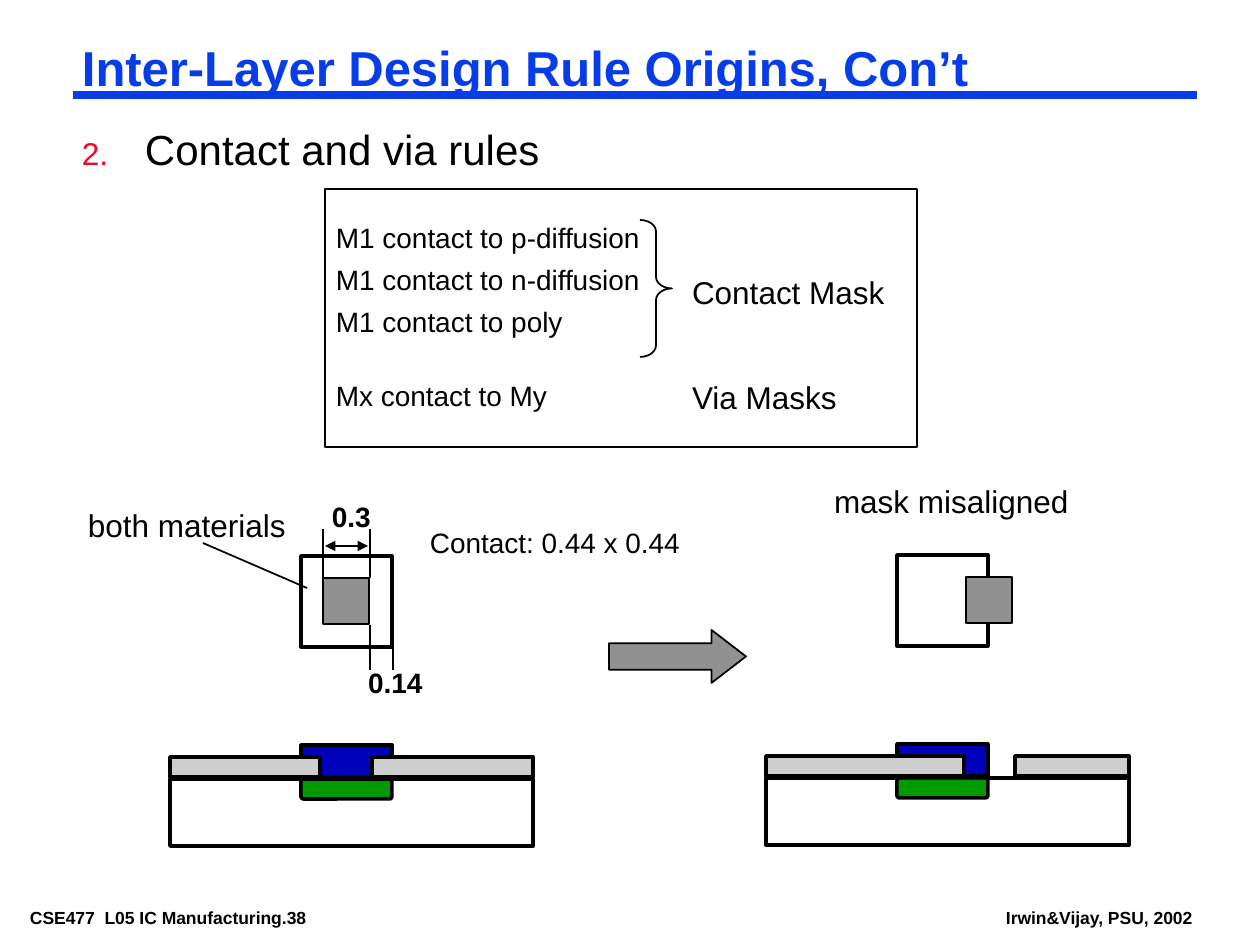
"""Build the slide on contact and via design rules."""
from dataclasses import dataclass

from lxml import etree
from pptx import Presentation, util as u
from pptx.dml.color import RGBColor
from pptx.enum import shapes, text
from pptx.oxml import ns

PX = 914400 / 126
FONT = "Arial"
COLORS = {
    "black": "000000", "title": "063DE8", "number": "FC0128", "metal": "0000BA",
    "cut": "919191", "oxide": "CECECE", "diffusion": "009900",
}
KIND = shapes.MSO_SHAPE


@dataclass(frozen=True)
class Label:
    words: str
    left: int
    top: int
    width: int
    height: int
    size: int = 16
    bold: bool = False
    spacing: float = 0.9


@dataclass(frozen=True)
class Line:
    x1: int
    y1: int
    x2: int
    y2: int


@dataclass(frozen=True)
class ContactView:
    left: int
    surface: int
    cut: int
    gap_start: int
    gap_end: int


LABELS = [
    Label("M1 contact to p-diffusion", 326, 220, 330, 38),
    Label("M1 contact to n-diffusion", 326, 262, 330, 38),
    Label("M1 contact to poly", 326, 304, 253, 38),
    Label("Mx contact to My", 326, 378, 238, 38),
    Label("Contact Mask", 682, 273, 219, 42, 18),
    Label("Via Masks", 682, 378, 171, 42, 18),
    Label("0.3", 322, 498, 66, 40, bold=True, spacing=0.96),
    Label("0.14", 358, 664, 82, 40, bold=True, spacing=0.96),
    Label("both materials", 78, 506, 224, 42, 18),
    Label("mask misaligned", 824, 480, 261, 44, 18, spacing=0.96),
    Label("Contact: 0.44 x 0.44", 420, 525, 276, 38),
]
FOOTERS = [
    Label("CSE477  L05 IC Manufacturing.38", 21, 903, 359, 28, 10, True, 1.0),
    Label("Irwin&Vijay, PSU, 2002", 997, 903, 210, 28, 10, True, 1.0),
]
GUIDES = [
    Line(323, 578, 323, 529), Line(370, 578, 370, 529),
    Line(370, 625, 370, 670), Line(393, 637, 393, 670),
    Line(307, 588, 203, 543),
]
VIEWS = [ContactView(170, 779, 153, 150, 202), ContactView(766, 778, 200, 198, 249)]


def px(length: int) -> int:
    """Turn pixels into EMU."""
    return round(length * PX)


def rgb(name: str) -> RGBColor:
    """Look up a named colour."""
    return RGBColor.from_string(COLORS[name])


def add_text(slide, words: str, left: int, top: int, width: int, height: int, *,
             size: int, bold: bool = False, color: str = "black",
             spacing: float = 0.9, wrap: bool = True, inset: int = 10):
    """Add a one-paragraph text box and return its paragraph."""
    frame = slide.shapes.add_textbox(px(left), px(top), px(width), px(height)).text_frame
    frame.word_wrap = wrap
    frame.vertical_anchor = text.MSO_ANCHOR.TOP
    frame.margin_left = frame.margin_right = px(inset)
    frame.margin_top = frame.margin_bottom = px(4)
    paragraph = frame.paragraphs[0]
    paragraph.alignment = text.PP_ALIGN.LEFT
    paragraph.line_spacing = spacing
    run = paragraph.add_run()
    run.text = words
    run.font.name, run.font.size, run.font.bold = FONT, u.Pt(size), bold
    run.font.color.rgb = rgb(color)
    return paragraph


def add_label(slide, label: Label, inset: int = 10) -> None:
    """Draw a described label on one line."""
    add_text(slide, label.words, label.left, label.top, label.width, label.height,
             size=label.size, bold=label.bold, spacing=label.spacing, wrap=False,
             inset=inset)


def number_paragraph(paragraph, start: int) -> None:
    """Give a paragraph a coloured hanging number."""
    properties = paragraph._p.get_or_add_pPr()
    properties.set("marL", str(px(63)))
    properties.set("indent", str(-px(63)))
    color = etree.SubElement(properties, ns.qn("a:buClr"))
    etree.SubElement(color, ns.qn("a:srgbClr"), val=COLORS["number"])
    etree.SubElement(properties, ns.qn("a:buSzPct"), val="75000")
    etree.SubElement(properties, ns.qn("a:buFont"), typeface=FONT)
    etree.SubElement(properties, ns.qn("a:buAutoNum"), type="arabicPeriod", startAt=str(start))


def add_block(slide, left: int, top: int, width: int, height: int, *,
              kind=KIND.RECTANGLE, fill: str = "", weight: float = 2,
              adjustments: tuple[float, ...] = ()) -> None:
    """Add an outlined shape, filled when a colour is named."""
    shape = slide.shapes.add_shape(kind, px(left), px(top), px(width), px(height))
    shape.shadow.inherit = False
    if fill:
        shape.fill.solid()
        shape.fill.fore_color.rgb = rgb(fill)
    else:
        shape.fill.background()
    shape.line.color.rgb = rgb("black")
    shape.line.width = u.Pt(weight)
    for index, value in enumerate(adjustments):
        shape.adjustments[index] = value


def add_line(slide, line: Line, *, color: str = "black", weight: float = 1,
             arrows: bool = False) -> None:
    """Add a straight line, optionally with an arrowhead at both ends."""
    connector = slide.shapes.add_connector(
        shapes.MSO_CONNECTOR.STRAIGHT, px(line.x1), px(line.y1), px(line.x2), px(line.y2))
    connector.line.color.rgb = rgb(color)
    connector.line.width = u.Pt(weight)
    if arrows:
        outline = connector.line._get_or_add_ln()
        for end in ("a:headEnd", "a:tailEnd"):
            etree.SubElement(outline, ns.qn(end), type="triangle")
    etree.SubElement(connector._element.spPr, ns.qn("a:effectLst"))


def add_contact_view(slide, view: ContactView) -> None:
    """Draw the top view of a contact and its cross-section."""
    left, surface = view.left, view.surface
    contact = left + 131
    add_block(slide, contact, surface - 223, 91, 91)
    add_block(slide, left + view.cut, surface - 201, 46, 46, fill="cut", weight=1)
    add_block(slide, contact, surface - 34, 91, 32, fill="metal")
    add_block(slide, left, surface, 363, 67)
    for start, end in ((0, view.gap_start), (view.gap_end, 363)):
        add_block(slide, left + start, surface - 22, end - start, 20, fill="oxide")
    add_block(slide, contact, surface, 91, 20, kind=KIND.ROUNDED_RECTANGLE,
              fill="diffusion", adjustments=(0.125,))


def main() -> None:
    """Build and save the slide."""
    presentation = Presentation()
    presentation.slide_width, presentation.slide_height = px(1260), px(945)
    slide = presentation.slides.add_slide(presentation.slide_layouts[6])
    for footer in FOOTERS:
        add_label(slide, footer, inset=9)
    add_line(slide, Line(73, 95, 1197, 95), color="title", weight=4.5)
    add_text(slide, "Inter-Layer Design Rule Origins, Con’t", 73, 42, 1124, 58,
             size=28, bold=True, color="title", spacing=0.87, inset=9)
    heading = add_text(slide, "Contact and via rules", 73, 125, 1124, 53,
                       size=24, inset=9)
    number_paragraph(heading, 2)
    add_block(slide, 325, 189, 592, 258, weight=1)
    add_block(slide, 640, 220, 32, 137, kind=KIND.RIGHT_BRACE, weight=1,
              adjustments=(0.36, 0.5))
    for view in VIEWS:
        add_contact_view(slide, view)
    for guide in GUIDES:
        add_line(slide, guide)
    add_line(slide, Line(325, 546, 368, 546), arrows=True)
    add_block(slide, 609, 630, 137, 53, kind=KIND.RIGHT_ARROW, fill="cut", weight=1,
              adjustments=(0.5, 0.65))
    for label in LABELS:
        add_label(slide, label)
    presentation.save("out.pptx")


if __name__ == "__main__":
    main()
